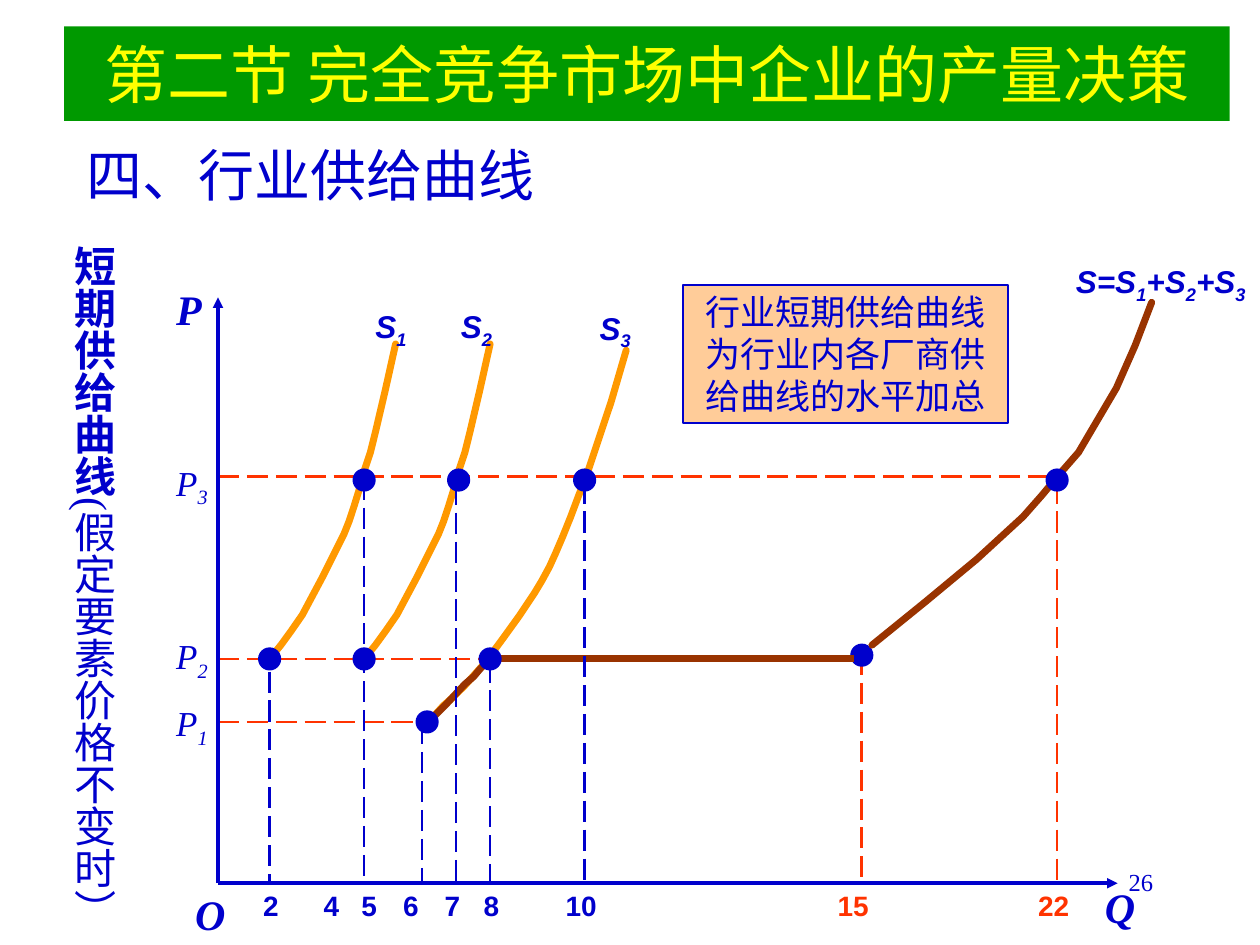
from lxml.etree import SubElement
from pptx import Presentation
from pptx.dml.color import RGBColor
from pptx.enum.dml import MSO_LINE
from pptx.enum.shapes import MSO_CONNECTOR, MSO_SHAPE
from pptx.enum.text import MSO_ANCHOR, MSO_AUTO_SIZE, PP_ALIGN
from pptx.oxml.ns import qn
from pptx.util import Inches, Pt

COLORS = {
    "blue": "0000CC", "green": "009900", "yellow": "FFFF00", "red": "FF3300",
    "orange": "FF9900", "brown": "993300", "peach": "FFCC99",
}
SERIF, SANS = "Times New Roman", "Arial"
AXIS_X, AXIS_Y = 1.73, 7.01
P1, P2, P3 = 5.73, 5.23, 3.78
DOT = 0.17

# Individual supply curves; S2 is S1 moved right
S1_CURVE = [
    (2.14, 5.23), (2.23, 5.12), (2.31, 5.01), (2.4, 4.88), (2.48, 4.73),
    (2.56, 4.58), (2.64, 4.42), (2.68, 4.34), (2.73, 4.24), (2.77, 4.14),
    (2.81, 4.02), (2.85, 3.89), (2.89, 3.74), (2.94, 3.59), (2.98, 3.43),
    (3.06, 3.09), (3.14, 2.73),
]
S2_CURVE = [(x + 0.75, y) for x, y in S1_CURVE]
S3_CURVE = [
    (3.38, 5.76), (3.42, 5.71), (3.52, 5.6), (3.6, 5.53), (3.69, 5.44),
    (3.85, 5.26), (3.99, 5.07), (4.12, 4.89), (4.24, 4.71), (4.3, 4.61),
    (4.36, 4.5), (4.41, 4.39), (4.47, 4.25), (4.53, 4.1), (4.59, 3.94),
    (4.66, 3.76), (4.72, 3.58), (4.85, 3.19), (4.97, 2.78),
]
# Industry supply curve: lower and upper parts
LOWER_CURVE = [(3.4, 5.73), (3.55, 5.58), (3.69, 5.43), (3.76, 5.37),
               (3.81, 5.31), (3.86, 5.26), (3.89, 5.23)]
UPPER_CURVE = [
    (6.92, 5.12), (7.34, 4.78), (7.75, 4.44), (8.12, 4.1), (8.27, 3.93),
    (8.42, 3.75), (8.56, 3.59), (8.66, 3.42), (8.86, 3.08), (9.01, 2.74),
    (9.14, 2.4),
]


def rgb(name):
    return RGBColor.from_string(COLORS[name])


def add_run(p, text, size, font, color="blue", bold=False, italic=False):
    r = p.add_run()
    r.text = text
    r.font.size, r.font.name = Pt(size), font
    r.font.bold, r.font.italic = bold, italic
    r.font.color.rgb = rgb(color)
    return r


def add_text(s, x, y, w, h, align=PP_ALIGN.LEFT, wrap=False):
    """Add an empty text box and return its text frame."""
    tf = s.shapes.add_textbox(Inches(x), Inches(y), Inches(w), Inches(h)).text_frame
    tf.word_wrap = wrap
    tf.auto_size = MSO_AUTO_SIZE.NONE if wrap else MSO_AUTO_SIZE.SHAPE_TO_FIT_TEXT
    tf.paragraphs[0].alignment = align
    return tf


def add_label(s, x, y, w, h, parts, size, font, align=PP_ALIGN.LEFT, **style):
    """Add a label in which every second part is a subscript."""
    p = add_text(s, x, y, w, h, align).paragraphs[0]
    for i, part in enumerate(parts):
        r = add_run(p, part, size, font, **style)
        if i % 2:
            r.font._element.set("baseline", "-25000")


def add_box(s, x, y, w, h, fill, line=None, kind=MSO_SHAPE.RECTANGLE):
    sp = s.shapes.add_shape(kind, Inches(x), Inches(y), Inches(w), Inches(h))
    sp.shadow.inherit = False
    sp.fill.solid()
    sp.fill.fore_color.rgb = rgb(fill)
    if line:
        sp.line.color.rgb = rgb(line)
        sp.line.width = Pt(1)
    else:
        sp.line.fill.background()
    return sp


def add_dot(s, x, y):
    add_box(s, x - DOT / 2, y - DOT / 2, DOT, DOT, "blue", "blue", MSO_SHAPE.OVAL)


def add_line(s, x1, y1, x2, y2, color, width=1.5, dashed=True, arrow=False):
    c = s.shapes.add_connector(MSO_CONNECTOR.STRAIGHT, Inches(x1), Inches(y1),
                               Inches(x2), Inches(y2))
    c.line.color.rgb = rgb(color)
    c.line.width = Pt(width)
    if dashed:
        c.line.dash_style = MSO_LINE.LONG_DASH
    if arrow:
        SubElement(c.line._get_or_add_ln(), qn("a:tailEnd"), type="triangle")
    SubElement(c._element.spPr, qn("a:effectLst"))


def add_curve(s, points, color):
    pts = [(Inches(x), Inches(y)) for x, y in points]
    fb = s.shapes.build_freeform(*pts[0])
    fb.add_line_segments(pts[1:], close=False)
    sp = fb.convert_to_shape()
    sp.shadow.inherit = False
    sp.fill.background()
    sp.line.color.rgb = rgb(color)
    sp.line.width = Pt(4)
    sp.line._get_or_add_ln().set("cap", "rnd")


def add_headings(s):
    sp = add_box(s, 0.51, 0.21, 9.25, 0.75, "green")
    tf = sp.text_frame
    tf.vertical_anchor = MSO_ANCHOR.MIDDLE
    p = tf.paragraphs[0]
    p.alignment = PP_ALIGN.CENTER
    add_run(p, "第二节 完全竞争市场中企业的产量决策", 36, SERIF, "yellow")
    tf = add_text(s, 0.59, 1.07, 8.92, 0.63, wrap=True)
    add_run(tf.paragraphs[0], "四、行业供给曲线", 32, SERIF)


def add_curves(s):
    add_curve(s, S3_CURVE, "orange")
    add_line(s, 6.84, 5.19, 6.84, AXIS_Y, "red")
    add_dot(s, 6.84, 5.2)
    add_curve(s, LOWER_CURVE, "brown")
    add_curve(s, UPPER_CURVE, "brown")
    add_line(s, 3.92, P2, 6.78, P2, "brown", 4, dashed=False)
    add_curve(s, S1_CURVE, "orange")
    add_curve(s, S2_CURVE, "orange")
    for x, y, number in [(2.88, 2.39, "1"), (3.56, 2.39, "2"), (4.66, 2.4, "3")]:
        add_label(s, x, y, 0.45, 0.44, ["S", number], 18, SANS, bold=True, italic=True)
    add_label(s, 8.44, 2.03, 1.55, 0.44, ["S=S", "1", "+S", "2", "+S", "3"],
              18, SANS, bold=True, italic=True)


def add_guides(s):
    # Price levels
    for y, end in [(P1, 3.35), (P2, 3.8), (P3, 8.34)]:
        add_line(s, AXIS_X, y, end, y, "red")
    # Quantities
    for x, top in [(2.14, 5.33), (2.89, 3.8), (3.35, 5.74), (3.62, 3.84),
                   (3.89, 5.25), (4.64, 3.83)]:
        add_line(s, x, top, x, AXIS_Y, "blue")
    add_line(s, 8.39, 3.83, 8.39, AXIS_Y, "red")
    for x, y in [(3.39, P1), (2.14, P2), (2.89, P2), (3.89, P2),
                 (2.89, 3.81), (3.64, 3.81), (4.64, 3.81), (8.39, 3.81)]:
        add_dot(s, x, y)


def add_axes(s):
    add_line(s, AXIS_X, AXIS_Y, AXIS_X, 2.36, "blue", 2, dashed=False, arrow=True)
    add_line(s, AXIS_X, AXIS_Y, 8.87, AXIS_Y, "blue", 2, dashed=False, arrow=True)
    for name, x, y, w, align in [("P", 1.3, 2.2, 0.4, PP_ALIGN.RIGHT),
                                 ("O", 1.45, 7, 0.44, PP_ALIGN.LEFT),
                                 ("Q", 8.67, 6.95, 0.44, PP_ALIGN.LEFT)]:
        add_label(s, x, y, w, 0.5, [name], 24, SERIF, align, bold=True, italic=True)
    for number, y in [("1", 5.52), ("2", 4.99), ("3", 3.61)]:
        add_label(s, 1.3, y, 0.45, 0.48, ["P", number], 20, SERIF, italic=True)
    # Quantity numbers; two digits need a wider box to stay on one line
    for value, x in [(2, 1.99), (4, 2.47), (5, 2.77), (6, 3.1), (7, 3.43),
                     (8, 3.74), (10, 4.39), (15, 6.55), (22, 8.14)]:
        add_label(s, x, 7, 0.5 if value >= 10 else 0.32, 0.36, [str(value)], 16, SANS,
                  color="red" if value > 10 else "blue", bold=True)


def add_notes(s):
    # Explanation box
    tf = add_box(s, 5.42, 2.26, 2.58, 1.1, "peach", "blue").text_frame
    tf.word_wrap = True
    tf.vertical_anchor = MSO_ANCHOR.TOP
    p = tf.paragraphs[0]
    p.alignment = PP_ALIGN.CENTER
    add_run(p, "行业短期供给曲线为行业内各厂商供给曲线的水平加总", 20, SANS)
    # Vertical caption
    tf = add_text(s, 0, 1.85, 1, 5.71, PP_ALIGN.CENTER)
    tf._txBody.bodyPr.set("vert", "eaVert")
    tf.margin_left = tf.margin_right = Inches(0.05)
    tf.margin_top = tf.margin_bottom = Inches(0.1)
    add_run(tf.paragraphs[0], "短期供给曲线", 24, SERIF, bold=True)
    add_run(tf.paragraphs[0], "(假定要素价格不变时）", 24, SERIF)
    # Page number
    tf = add_text(s, 7.17, 6.83, 2.08, 0.5, PP_ALIGN.RIGHT, wrap=True)
    add_run(tf.paragraphs[0], "26", 14, SERIF)


def main():
    prs = Presentation()
    prs.slide_width, prs.slide_height = Inches(10), Inches(7.5)
    s = prs.slides.add_slide(prs.slide_layouts[6])
    add_headings(s)
    add_curves(s)
    add_guides(s)
    add_axes(s)
    add_notes(s)
    prs.save("out.pptx")


if __name__ == "__main__":
    main()
